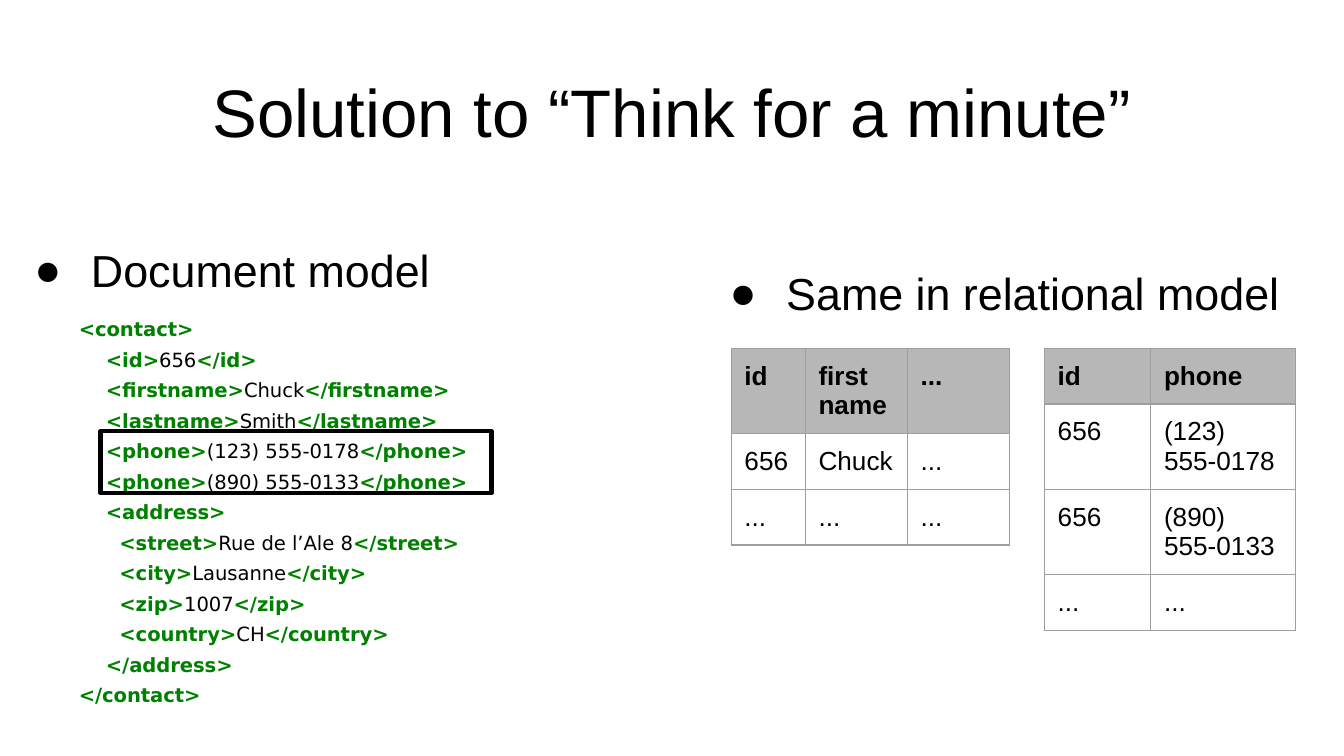
"""Build a slide comparing a document model with its relational tables."""
from dataclasses import dataclass
from typing import Any

from lxml import etree
from pptx import Presentation
from pptx import util as u
from pptx.dml.color import RGBColor
from pptx.enum import shapes, text
from pptx.oxml.ns import qn


@dataclass(frozen=True)
class Theme:
    font: str = "Arial"
    code_font: str = "DejaVu Sans"
    ink: str = "000000"
    tag: str = "008000"
    header: str = "B7B7B7"
    grid: str = "9E9E9E"
    title_size: float = 36
    heading_size: float = 24
    table_size: float = 14
    code_size: float = 10.5


@dataclass(frozen=True)
class Area:
    left: float
    top: float
    width: float
    height: float

    def lengths(self) -> tuple[u.Length, ...]:
        return tuple(u.Cm(n) for n in (self.left, self.top, self.width, self.height))


@dataclass(frozen=True)
class Heading:
    words: str
    area: Area


@dataclass(frozen=True)
class Grid:
    left: float
    columns: tuple[float, ...]
    rows: tuple[tuple[str, ...], ...]


@dataclass(frozen=True)
class CodeLine:
    opening: str
    value: str = ""
    closing: str = ""


THEME = Theme()
TABLE_TOP = 6.58
ROW_HEIGHT = 1.04
PADDING = 0.25

HEADINGS = (
    Heading("Same in relational model", Area(13.34, 4.9, 11.48, 2.74)),
    Heading("Document model", Area(0.2, 4.47, 8.46, 2.74)),
)
GRIDS = (
    Grid(13.82, (1.4, 1.93, 1.93), (
        ("id", "first name", "..."),
        ("656", "Chuck", "..."),
        ("...", "...", "..."),
    )),
    Grid(19.74, (2.01, 2.74), (
        ("id", "phone"),
        ("656", "(123) 555-0178"),
        ("656", "(890) 555-0133"),
        ("...", "..."),
    )),
)
CODE = (
    CodeLine("<contact>"),
    CodeLine("    <id>", "656", "</id>"),
    CodeLine("    <firstname>", "Chuck", "</firstname>"),
    CodeLine("    <lastname>", "Smith", "</lastname>"),
    CodeLine("    <phone>", "(123) 555-0178", "</phone>"),
    CodeLine("    <phone>", "(890) 555-0133", "</phone>"),
    CodeLine("    <address>"),
    CodeLine("      <street>", "Rue de l’Ale 8", "</street>"),
    CodeLine("      <city>", "Lausanne", "</city>"),
    CodeLine("      <zip>", "1007", "</zip>"),
    CodeLine("      <country>", "CH", "</country>"),
    CodeLine("    </address>"),
    CodeLine("</contact>"),
)


def apply(target: Any, values: dict[str, Any]) -> None:
    for name, value in values.items():
        setattr(target, name, value)


def place(shape: Any, area: Area) -> None:
    apply(shape, dict(zip(("left", "top", "width", "height"), area.lengths())))


def add_span(para: Any, words: str, size: float, bold: bool = False,
             color: str = THEME.ink, font: str = THEME.font) -> None:
    span = para.add_run()
    span.text = words
    apply(span.font, {"name": font, "size": u.Pt(size), "bold": bold})
    span.font.color.rgb = RGBColor.from_string(color)


def add_color(parent: Any, color: str) -> None:
    etree.SubElement(parent, qn("a:srgbClr"), val=color)


def add_title(page: Any, words: str, area: Area) -> None:
    title = page.shapes.title
    place(title, area)
    frame = title.text_frame
    apply(frame, {"word_wrap": True, "auto_size": text.MSO_AUTO_SIZE.NONE,
                  "vertical_anchor": text.MSO_ANCHOR.MIDDLE})
    para = frame.paragraphs[0]
    para.alignment = text.PP_ALIGN.CENTER
    add_span(para, words, THEME.title_size)


def add_heading(page: Any, heading: Heading) -> None:
    box = page.shapes.add_textbox(*heading.area.lengths())
    box.text_frame.word_wrap = True
    para = box.text_frame.paragraphs[0]
    props = para._p.get_or_add_pPr()
    apply_indent = {"marL": u.Cm(1.27), "indent": u.Cm(-1.07)}
    for name, value in apply_indent.items():
        props.set(name, str(value))
    add_color(etree.SubElement(props, qn("a:buClr")), THEME.ink)
    etree.SubElement(props, qn("a:buFont"), typeface=THEME.font)
    etree.SubElement(props, qn("a:buChar"), char="●")
    add_span(para, heading.words, THEME.heading_size)


def add_borders(cell: Any) -> None:
    props = cell._tc.get_or_add_tcPr()
    for position, side in enumerate(("lnL", "lnR", "lnT", "lnB")):
        line = etree.Element(qn(f"a:{side}"), w=str(u.Pt(0.75)))
        add_color(etree.SubElement(line, qn("a:solidFill")), THEME.grid)
        props.insert(position, line)


def fill_cell(cell: Any, words: str, header: bool) -> None:
    sides = ("left", "right", "top", "bottom")
    apply(cell, {f"margin_{side}": u.Cm(PADDING) for side in sides})
    if header:
        cell.fill.solid()
        cell.fill.fore_color.rgb = RGBColor.from_string(THEME.header)
    else:
        cell.fill.background()
    add_borders(cell)
    add_span(cell.text_frame.paragraphs[0], words, THEME.table_size, header)


def add_grid(page: Any, grid: Grid) -> None:
    area = Area(grid.left, TABLE_TOP, sum(grid.columns), ROW_HEIGHT * len(grid.rows))
    table = page.shapes.add_table(
        len(grid.rows), len(grid.columns), *area.lengths()).table
    apply(table, {"first_row": False, "horz_banding": False})
    for column, width in zip(table.columns, grid.columns):
        column.width = u.Cm(width)
    for row_index, row in enumerate(grid.rows):
        table.rows[row_index].height = u.Cm(ROW_HEIGHT)
        for column_index, words in enumerate(row):
            fill_cell(table.cell(row_index, column_index), words, row_index == 0)


def add_code(page: Any, lines: tuple[CodeLine, ...], area: Area) -> None:
    box = page.shapes.add_textbox(*area.lengths())
    apply(box.text_frame, {"word_wrap": True, "margin_top": u.Cm(PADDING),
                           "margin_bottom": u.Cm(PADDING)})
    para = box.text_frame.paragraphs[0]
    para._p.get_or_add_pPr().set("marL", str(u.Cm(0.38)))
    para.line_spacing = 1.3
    for index, line in enumerate(lines):
        if index:
            para.add_line_break()
        for words, is_tag in ((line.opening, True), (line.value, False),
                              (line.closing, True)):
            if words:
                add_span(para, words, THEME.code_size, is_tag,
                         THEME.tag if is_tag else THEME.ink, THEME.code_font)


def add_frame(page: Any, area: Area) -> None:
    frame = page.shapes.add_shape(shapes.MSO_SHAPE.RECTANGLE, *area.lengths())
    frame.shadow.inherit = False
    frame.fill.background()
    frame.line.color.rgb = RGBColor.from_string(THEME.ink)
    frame.line.width = u.Pt(2.25)


def main() -> None:
    deck = Presentation()
    apply(deck, {"slide_width": u.Cm(25.4), "slide_height": u.Cm(14.29)})
    page = deck.slides.add_slide(deck.slide_layouts[5])
    add_title(page, "Solution to “Think for a minute”", Area(1.27, 1.27, 22.86, 1.65))
    for grid in GRIDS:
        add_grid(page, grid)
    for heading in HEADINGS:
        add_heading(page, heading)
    add_code(page, CODE, Area(0.86, 5.61, 9.22, 8.41))
    add_frame(page, Area(1.9, 8.15, 7.39, 1.17))
    deck.save("out.pptx")


if __name__ == "__main__":
    main()
